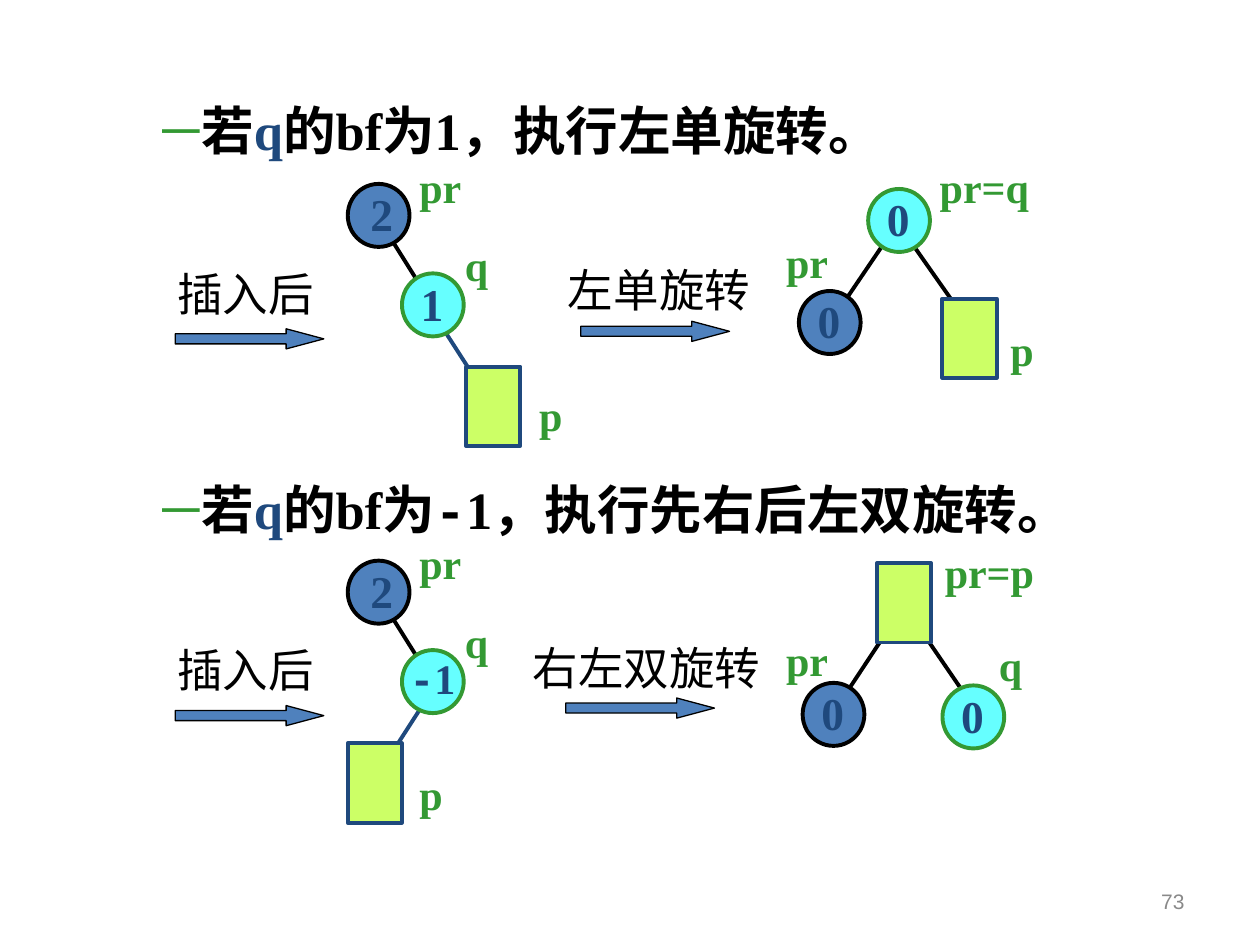
from lxml import etree
from pptx import Presentation
from pptx.dml.color import RGBColor
from pptx.enum.shapes import MSO_CONNECTOR, MSO_SHAPE
from pptx.enum.text import MSO_ANCHOR, PP_ALIGN
from pptx.oxml.ns import qn
from pptx.util import Inches, Pt

STRAIGHT = MSO_CONNECTOR.STRAIGHT
ELLIPSE, RECTANGLE, ARROW = MSO_SHAPE.OVAL, MSO_SHAPE.RECTANGLE, MSO_SHAPE.RIGHT_ARROW
MIDDLE, RIGHT = MSO_ANCHOR.MIDDLE, PP_ALIGN.RIGHT
SERIF, SANS, MONO = "Times New Roman", "Arial", "Courier New"
COLORS = {"black": "000000", "navy": "1F497D", "green": "339933", "blue": "4F81BD",
          "cyan": "66FFFF", "lime": "CCFF66", "gray": "898989"}
CASE_STEP = 2.99
LABEL_SLACK = 0.1


class TreeSlide:
    def __init__(self, slide):
        self.slide = slide

    def color(self, name):
        return RGBColor.from_string(COLORS[name])

    def style_font(self, font, size, name, color, bold):
        font.size, font.name, font.bold = Pt(size), name, bold
        font.color.rgb = self.color(color)

    def text_box(self, left, top, width, height):
        box = self.slide.shapes.add_textbox(Inches(left), Inches(top), Inches(width), Inches(height))
        box.text_frame.word_wrap = True
        return box.text_frame

    def label(self, text, left, top, width, size=24, name=SERIF, color="green", bold=True):
        frame = self.text_box(left, top, width + LABEL_SLACK, 0.54 if size > 24 else 0.5)
        paragraph = frame.paragraphs[0]
        self.style_font(paragraph.font, size, name, color, bold)
        self.add_runs(paragraph, [(text, None)])

    def add_runs(self, paragraph, parts):
        for text, color in parts:
            before, dash, after = text.partition("-")
            for piece in filter(None, (before, dash, after)):
                run = paragraph.add_run()
                run.text = piece
                if color:
                    run.font.color.rgb = self.color(color)
                if piece == "-":
                    run.font.name = MONO

    def heading(self, top, parts):
        paragraph = self.text_box(0.69, top, 8.65, 0.7).paragraphs[0]
        properties = paragraph._p.get_or_add_pPr()
        properties.set("marL", str(Inches(0.81)))
        properties.set("indent", str(Inches(-0.31)))
        bullet_color = etree.SubElement(properties, qn("a:buClr"))
        etree.SubElement(bullet_color, qn("a:srgbClr"), val=COLORS["green"])
        etree.SubElement(properties, qn("a:buFont"), typeface=SERIF)
        etree.SubElement(properties, qn("a:buChar"), char="─")
        paragraph.line_spacing = 1.1
        self.style_font(paragraph.font, 30, SERIF, "black", True)
        self.add_runs(paragraph, parts)

    def shape(self, kind, left, top, width, height, fill, line, weight=2.25):
        shape = self.slide.shapes.add_shape(kind, Inches(left), Inches(top), Inches(width), Inches(height))
        shape.shadow.inherit = False
        shape.fill.solid()
        shape.fill.fore_color.rgb = self.color(fill)
        shape.line.color.rgb = self.color(line)
        shape.line.width = Pt(weight)
        return shape

    def edge(self, x1, y1, x2, y2, color="black"):
        connector = self.slide.shapes.add_connector(STRAIGHT, Inches(x1), Inches(y1), Inches(x2), Inches(y2))
        connector.line.color.rgb = self.color(color)
        connector.line.width = Pt(2.25)
        etree.SubElement(connector._element.spPr, qn("a:effectLst"))

    def node(self, left, top, fill, line, value, shift=0.05, width=0.38, size=26):
        self.shape(ELLIPSE, left, top, 0.49, 0.5, fill, line)
        self.label(value, left + shift, top - 0.03, width, size, color="navy")

    def parent(self, left, top, value, shift=0.05):
        self.node(left, top, "blue", "black", value, shift)

    def child(self, left, top, value, **options):
        self.node(left, top, "cyan", "green", value, **options)

    def leaf(self, left, top):
        self.shape(RECTANGLE, left, top, 0.43, 0.63, "lime", "navy")

    def step(self, text, left, top, width, arrow_left, arrow_top):
        arrow = self.shape(ARROW, arrow_left, arrow_top, 1.18, 0.16, "blue", "black", 0.75)
        arrow.adjustments[1] = 1.87
        self.label(text, left, top, width, 26, SANS, "black", False)

    def inserted_tree(self, offset, value, leaf_edge, leaf, leaf_label, **options):
        self.step("插入后", 1.31, 2.06 + offset, 1.28, 1.39, 2.61 + offset)
        self.edge(*leaf_edge, "navy")
        self.edge(3.05, 1.81 + offset, 3.42, 2.4 + offset)
        self.parent(2.76, 1.46 + offset, "2", 0.08)
        self.child(3.19, 2.17 + offset, value, **options)
        self.leaf(*leaf)
        self.label("pr", 3.23, 1.23 + offset, 0.53)
        self.label("q", 3.59, 1.85 + offset, 0.38)
        self.label("p", *leaf_label, 0.38)

    def page_number(self, number):
        frame = self.text_box(7.17, 6.95, 2.33, 0.4)
        frame.vertical_anchor = MIDDLE
        paragraph = frame.paragraphs[0]
        paragraph.text = number
        paragraph.alignment = RIGHT
        self.style_font(paragraph.font, 12, SANS, "gray", False)


def main():
    presentation = Presentation()
    presentation.slide_width, presentation.slide_height = Inches(10), Inches(7.5)
    page = TreeSlide(presentation.slides.add_slide(presentation.slide_layouts[6]))

    page.heading(0.68, [("若", None), ("q", "navy"), ("的bf为1，执行左单旋转。", None)])
    page.heading(3.69, [("若", None), ("q", "navy"), ("的bf为-1，执行先右后左双旋转。", None)])

    page.inserted_tree(0, "1", (3.46, 2.52, 3.84, 3.11), (3.7, 2.91), (4.18, 3.04))
    page.step("左单旋转", 4.41, 2.03, 1.64, 4.61, 2.55)
    page.edge(7.03, 1.91, 6.63, 2.5)
    page.edge(7.18, 1.85, 7.58, 2.42)
    page.child(6.89, 1.5, "0")
    page.parent(6.34, 2.31, "0")
    page.leaf(7.48, 2.37)
    page.label("pr", 6.14, 1.83, 0.53)
    page.label("p", 7.92, 2.53, 0.38)
    page.label("pr=q", 7.36, 1.23, 0.91)

    page.inserted_tree(CASE_STEP, "-1", (3.41, 5.51, 3.03, 6.1), (2.76, 5.9), (3.23, 6.05),
                       shift=-0.04, width=0.56, size=24)
    page.step("右左双旋转", 4.13, 5.03, 2.01, 4.49, 5.54)
    page.edge(7.1, 4.92, 6.71, 5.51)
    page.edge(7.26, 4.93, 7.65, 5.5)
    page.child(7.48, 5.44, "0")
    page.parent(6.37, 5.42, "0")
    page.leaf(6.96, 4.47)
    page.label("pr", 6.14, 4.99, 0.53)
    page.label("q", 7.83, 5.03, 0.38)
    page.label("pr=p", 7.4, 4.29, 0.91)

    page.page_number("73")
    presentation.save("out.pptx")


if __name__ == "__main__":
    main()
